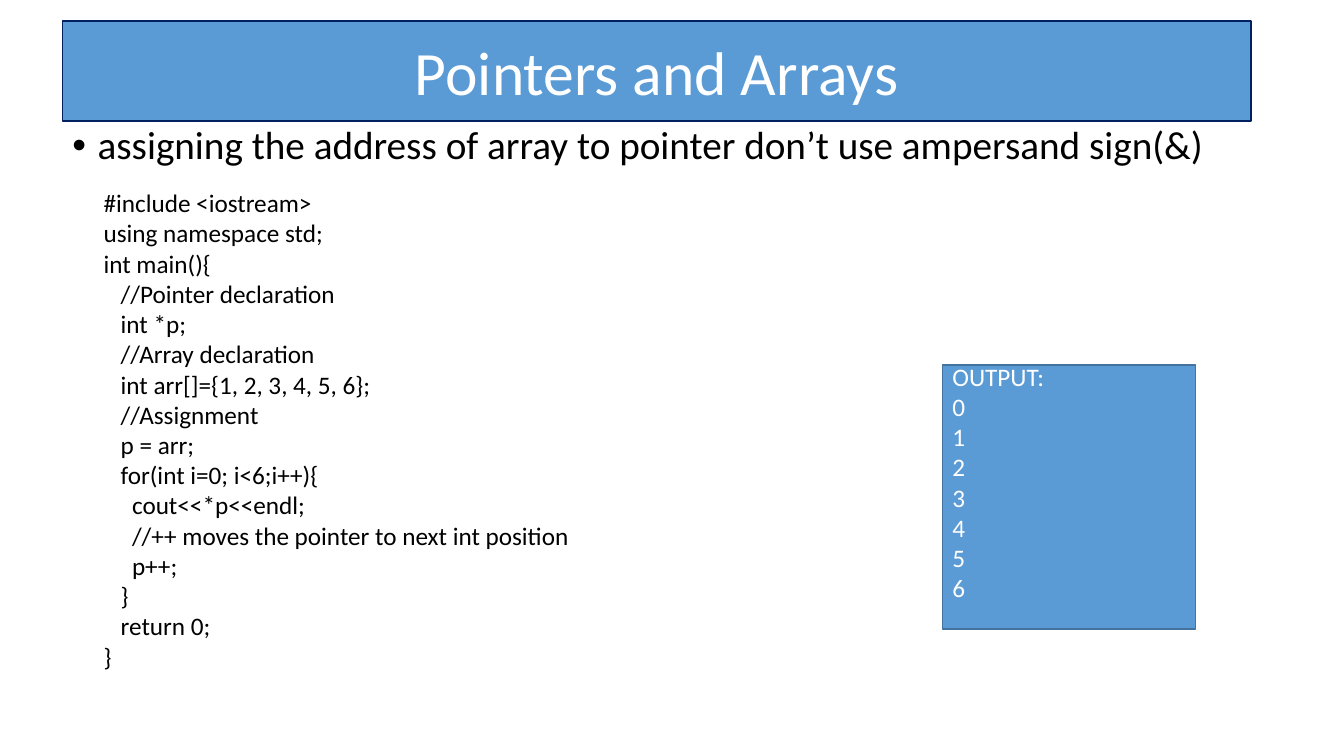
from dataclasses import dataclass
from typing import Optional

from lxml import etree
from pptx import Presentation
from pptx.dml.color import RGBColor
from pptx.enum.shapes import MSO_SHAPE
from pptx.enum.text import MSO_ANCHOR, MSO_AUTO_SIZE, PP_ALIGN
from pptx.oxml.ns import qn
from pptx.util import Pt

RECT = MSO_SHAPE.RECTANGLE
TOP, MIDDLE = MSO_ANCHOR.TOP, MSO_ANCHOR.MIDDLE
LEFT, CENTER = PP_ALIGN.LEFT, PP_ALIGN.CENTER
NO_AUTOFIT = MSO_AUTO_SIZE.NONE
GROW = MSO_AUTO_SIZE.SHAPE_TO_FIT_TEXT

BLACK = RGBColor(0x00, 0x00, 0x00)
WHITE = RGBColor(0xFF, 0xFF, 0xFF)
BLUE = RGBColor(0x5B, 0x9B, 0xD5)
NAVY = RGBColor(0x00, 0x20, 0x60)
STEEL = RGBColor(0x43, 0x73, 0x9E)

FONT = "Calibri"
INDENT = Pt(18)

CODE = """#include <iostream>
using namespace std;
int main(){
   //Pointer declaration
   int *p;
   //Array declaration
   int arr[]={1, 2, 3, 4, 5, 6};
   //Assignment
   p = arr;
   for(int i=0; i<6;i++){
     cout<<*p<<endl;
     //++ moves the pointer to next int position
     p++;
   }
   return 0;
}"""
OUTPUT = "\n".join(["OUTPUT:", *map(str, range(7))])


@dataclass
class Box:
    text: str
    left: float
    top: float
    width: float
    height: float
    size: float
    color: RGBColor = BLACK
    line: Optional[RGBColor] = None
    align: PP_ALIGN = LEFT
    anchor: MSO_ANCHOR = TOP
    fit: MSO_AUTO_SIZE = NO_AUTOFIT
    bottom_inset: float = 3.6
    bullet: bool = False


BOXES = [
    Box("assigning the address of array to pointer don’t use ampersand sign(&)",
        44.64, 86.4, 848.88, 400.32, 28, bullet=True),
    Box("Pointers and Arrays", 44.64, 15.12, 848.88, 71.28, 44, WHITE, NAVY,
        CENTER, MIDDLE),
    Box(CODE, 66.96, 130.32, 480.24, 356.4, 18, fit=GROW),
    Box(OUTPUT, 673.2, 260.64, 180.72, 188.64, 18, WHITE, STEEL,
        anchor=MIDDLE, bottom_inset=25.2),
]


def add_bullet(p) -> None:
    pPr = p._p.get_or_add_pPr()
    pPr.set("marL", str(INDENT))
    pPr.set("indent", str(-INDENT))
    etree.SubElement(pPr, qn("a:buFont")).set("typeface", "Arial")
    etree.SubElement(pPr, qn("a:buChar")).set("char", "•")
    p.line_spacing = 0.9


def add_box(s, box: Box) -> None:
    frame = Pt(box.left), Pt(box.top), Pt(box.width), Pt(box.height)
    if box.line is None:
        sp = s.shapes.add_textbox(*frame)
    else:
        sp = s.shapes.add_shape(RECT, *frame)
        sp.shadow.inherit = False
        sp.fill.solid()
        sp.fill.fore_color.rgb = BLUE
        sp.line.color.rgb = box.line
        sp.line.width = Pt(1)
    tf = sp.text_frame
    tf.text = box.text
    tf.word_wrap = True
    tf.auto_size = box.fit
    tf.vertical_anchor = box.anchor
    tf.margin_bottom = Pt(box.bottom_inset)
    for p in tf.paragraphs:
        p.alignment = box.align
        if box.bullet:
            add_bullet(p)
        for r in p.runs:
            r.font.name = FONT
            r.font.size = Pt(box.size)
            r.font.color.rgb = box.color


def main() -> None:
    prs = Presentation()
    prs.slide_width, prs.slide_height = Pt(960), Pt(540)
    s = prs.slides.add_slide(prs.slide_layouts[6])
    for box in BOXES:
        add_box(s, box)
    prs.save("out.pptx")


if __name__ == "__main__":
    main()
